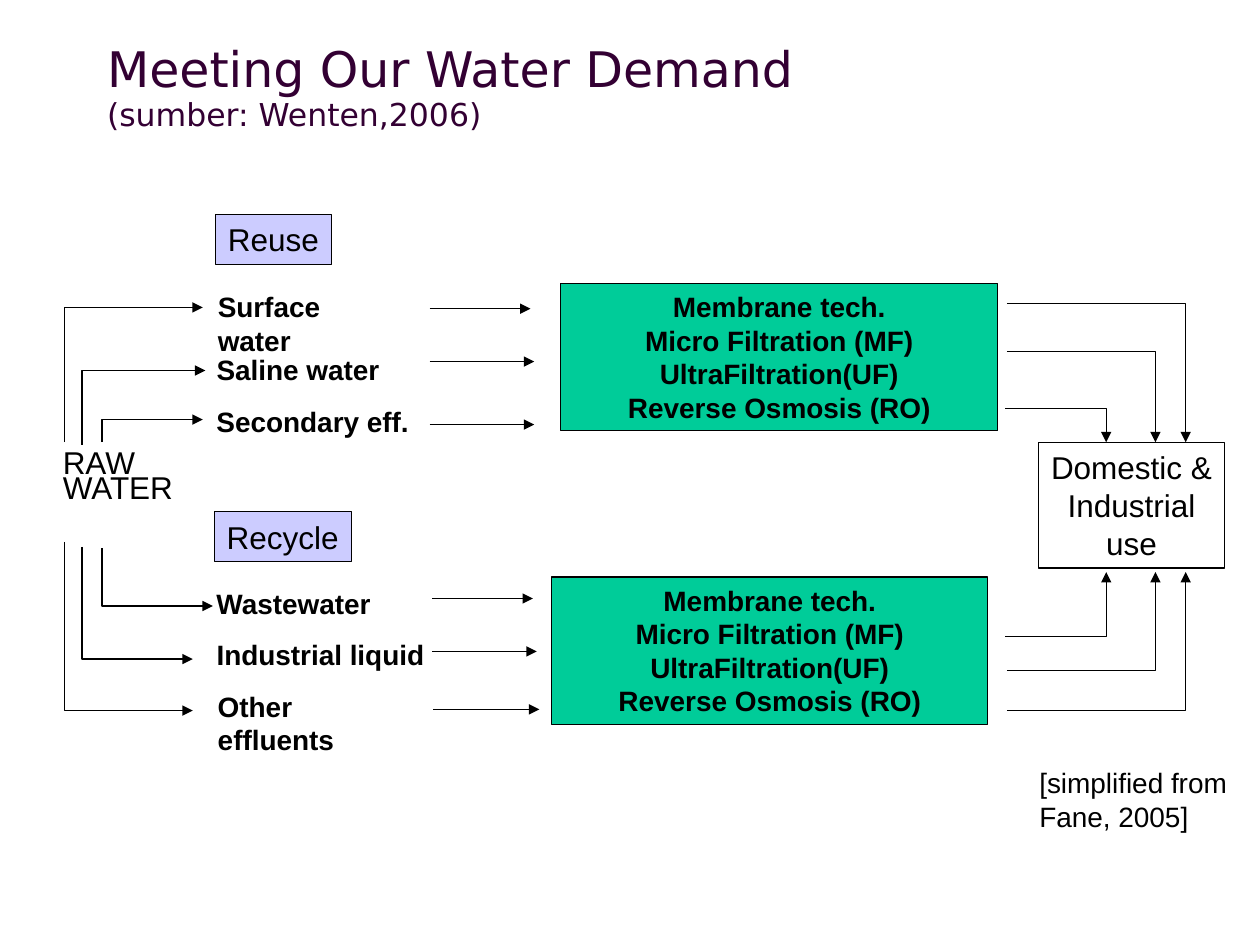
from lxml import etree
from pptx import Presentation
from pptx import util as u
from pptx.dml.color import RGBColor
from pptx.enum import shapes, text
from pptx.oxml import ns

COLORS = {"title": "330033", "ink": "000000", "stage": "CCCCFF", "membrane": "00CC99"}
LABEL = {"name": "Arial", "size": u.Pt(18), "bold": False}
SMALL = {**LABEL, "size": u.Pt(16)}
STRONG = {**SMALL, "bold": True}
LEFT = {"alignment": text.PP_ALIGN.LEFT}
CENTER = {"alignment": text.PP_ALIGN.CENTER}
MEMBRANE = ["Membrane tech.", "Micro Filtration (MF)", "UltraFiltration(UF)",
            "Reverse Osmosis (RO)"]


def assign(target, values):
    """Set each attribute of the target from a dict."""
    for name, value in values.items():
        setattr(target, name, value)


def color(name):
    """Return a named colour."""
    return RGBColor.from_string(COLORS[name])


def write(frame, lines, font, layout, wrap=False):
    """Write one paragraph for each line into a text frame."""
    assign(frame, {"word_wrap": wrap, "auto_size": text.MSO_AUTO_SIZE.SHAPE_TO_FIT_TEXT,
                   "vertical_anchor": text.MSO_ANCHOR.TOP})
    for index, line in enumerate(lines):
        para = frame.add_paragraph() if index else frame.paragraphs[0]
        assign(para, layout)
        span = para.add_run()
        span.text = line
        assign(span.font, font)
        span.font.color.rgb = color("ink")


def add_label(page, box, lines, font=LABEL, layout=LEFT):
    """Place plain text in the given box."""
    label = page.shapes.add_textbox(*map(u.Inches, box))
    write(label.text_frame, lines, font, layout)


def add_panel(page, box, lines, fill=None, font=LABEL, layout=CENTER, wrap=False):
    """Place an outlined rectangle with text in the given box."""
    panel = page.shapes.add_shape(shapes.MSO_SHAPE.RECTANGLE, *map(u.Inches, box))
    panel.shadow.inherit = False
    if fill:
        panel.fill.solid()
        panel.fill.fore_color.rgb = color(fill)
    else:
        panel.fill.background()
    panel.line.color.rgb = color("ink")
    panel.line.width = u.Pt(0.75)
    write(panel.text_frame, lines, font, layout, wrap)


def finish_arrow(arrow):
    """Give a line its ink and an arrowhead at its end."""
    arrow.line.color.rgb = color("ink")
    arrow.line.width = u.Pt(0.75)
    etree.SubElement(arrow.line._get_or_add_ln(), ns.qn("a:tailEnd"), type="triangle")


def add_arrow(page, left, right, top):
    """Draw a level arrow."""
    ends = map(u.Inches, (left, top, right, top))
    arrow = page.shapes.add_connector(shapes.MSO_CONNECTOR.STRAIGHT, *ends)
    finish_arrow(arrow)
    etree.SubElement(arrow._element.spPr, ns.qn("a:effectLst"))


def add_elbow(page, start, corner, end):
    """Draw an open bent arrow through three points."""
    first, *others = [tuple(map(u.Inches, point)) for point in (start, corner, end)]
    builder = page.shapes.build_freeform(*first)
    builder.add_line_segments(others, close=False)
    elbow = builder.convert_to_shape()
    elbow.shadow.inherit = False
    elbow.fill.background()
    finish_arrow(elbow)


def add_title(page, box):
    """Place the two-line title in the given box."""
    title = page.shapes.title
    assign(title, dict(zip(("left", "top", "width", "height"), map(u.Inches, box))))
    assign(title.text_frame, {"word_wrap": True, "auto_size": text.MSO_AUTO_SIZE.NONE,
                              "vertical_anchor": text.MSO_ANCHOR.MIDDLE})
    para = title.text_frame.paragraphs[0]
    assign(para, {**LEFT, "line_spacing": 0.93})
    for words, size in (("Meeting Our Water Demand ", 28), ("(sumber: Wenten,2006)", 18)):
        if para.runs:
            para.add_line_break()
        span = para.add_run()
        span.text = words
        assign(span.font, {"name": "DejaVu Sans", "size": u.Pt(size)})
        span.font.color.rgb = color("title")


def add_stage(page, heading, heading_box, sources, membrane_box):
    """Place a heading, its water sources with arrows, and the membrane panel."""
    add_panel(page, heading_box, [heading], "stage", layout=LEFT)
    for name, box, (start, end, level) in sources:
        add_label(page, box, [name], STRONG)
        add_arrow(page, start, end, level)
    add_panel(page, membrane_box, MEMBRANE, "membrane", STRONG, wrap=True)


def add_feeds(page, feeds):
    """Lead raw water up or down and then right to each source."""
    for column, start, level, end in feeds:
        add_elbow(page, (column, start), (column, level), (end, level))


def add_supplies(page, edge, levels):
    """Lead treated water right and then to the edge of the use panel."""
    for left, column, level in zip((7.99, 7.99, 7.98), (9.41, 9.17, 8.78), levels):
        add_elbow(page, (left, level), (column, level), (column, edge))


def main():
    """Build the slide and save it."""
    deck = Presentation()
    assign(deck, {"slide_width": u.Inches(10), "slide_height": u.Inches(7.5)})
    page = deck.slides.add_slide(deck.slide_layouts[5])
    add_title(page, (0.75, 0.29, 8.5, 0.82))
    add_stage(page, "Reuse", (1.71, 1.7, 0.92, 0.4), [
        ("Surface water", (1.63, 2.25, 1.65, 0.37), (3.41, 4.21, 2.45)),
        ("Saline water", (1.62, 2.75, 1.49, 0.37), (3.41, 4.24, 2.87)),
        ("Secondary eff.", (1.62, 3.16, 1.73, 0.37), (3.41, 4.24, 3.37)),
    ], (4.45, 2.25, 3.47, 1.17))
    add_stage(page, "Recycle", (1.7, 4.06, 1.09, 0.4), [
        ("Wastewater", (1.62, 4.61, 1.43, 0.37), (3.43, 4.23, 4.75)),
        ("Industrial liquid", (1.62, 5.01, 1.85, 0.37), (3.43, 4.26, 5.17)),
        ("Other effluents", (1.63, 5.42, 1.77, 0.37), (3.44, 4.28, 5.63)),
    ], (4.38, 4.58, 3.46, 1.17))
    add_panel(page, (8.24, 3.51, 1.48, 1), ["Domestic &", "Industrial", "use"])
    add_label(page, (8.15, 6.03, 1.75, 0.64), ["[simplified from", "Fane, 2005]"], SMALL)
    add_label(page, (0.4, 3.56, 1.1, 0.5), ["RAW", "WATER"],
              layout={**LEFT, "line_spacing": 0.66})
    add_supplies(page, 3.51, (2.41, 2.79, 3.24))
    add_supplies(page, 4.54, (5.64, 5.32, 5.05))
    add_feeds(page, [(0.51, 3.51, 2.44, 1.61), (0.65, 3.53, 2.94, 1.63),
                     (0.81, 3.51, 3.33, 1.61), (0.51, 4.3, 5.64, 1.53),
                     (0.65, 4.34, 5.23, 1.53), (0.81, 4.35, 4.81, 1.69)])
    deck.save("out.pptx")


if __name__ == "__main__":
    main()
